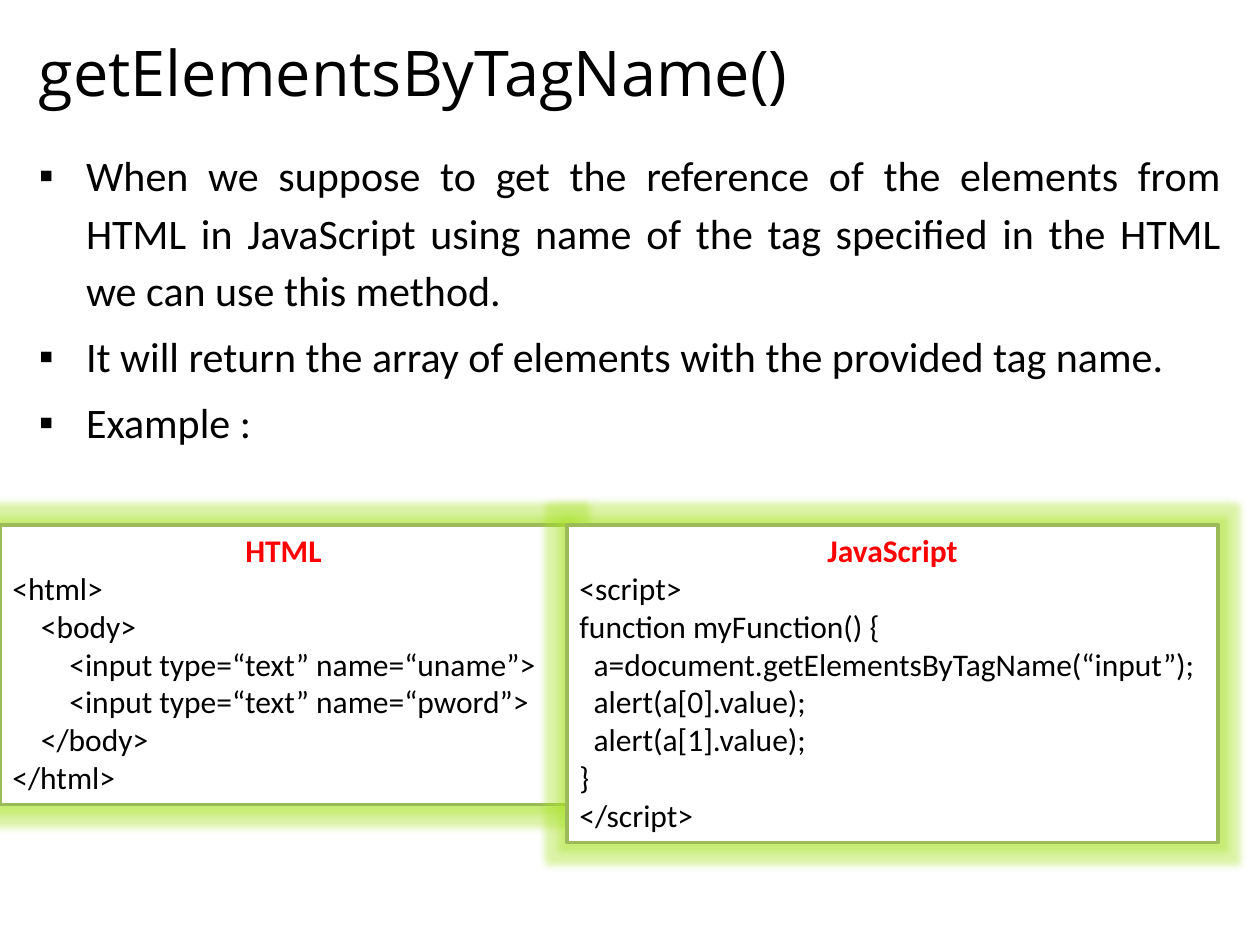
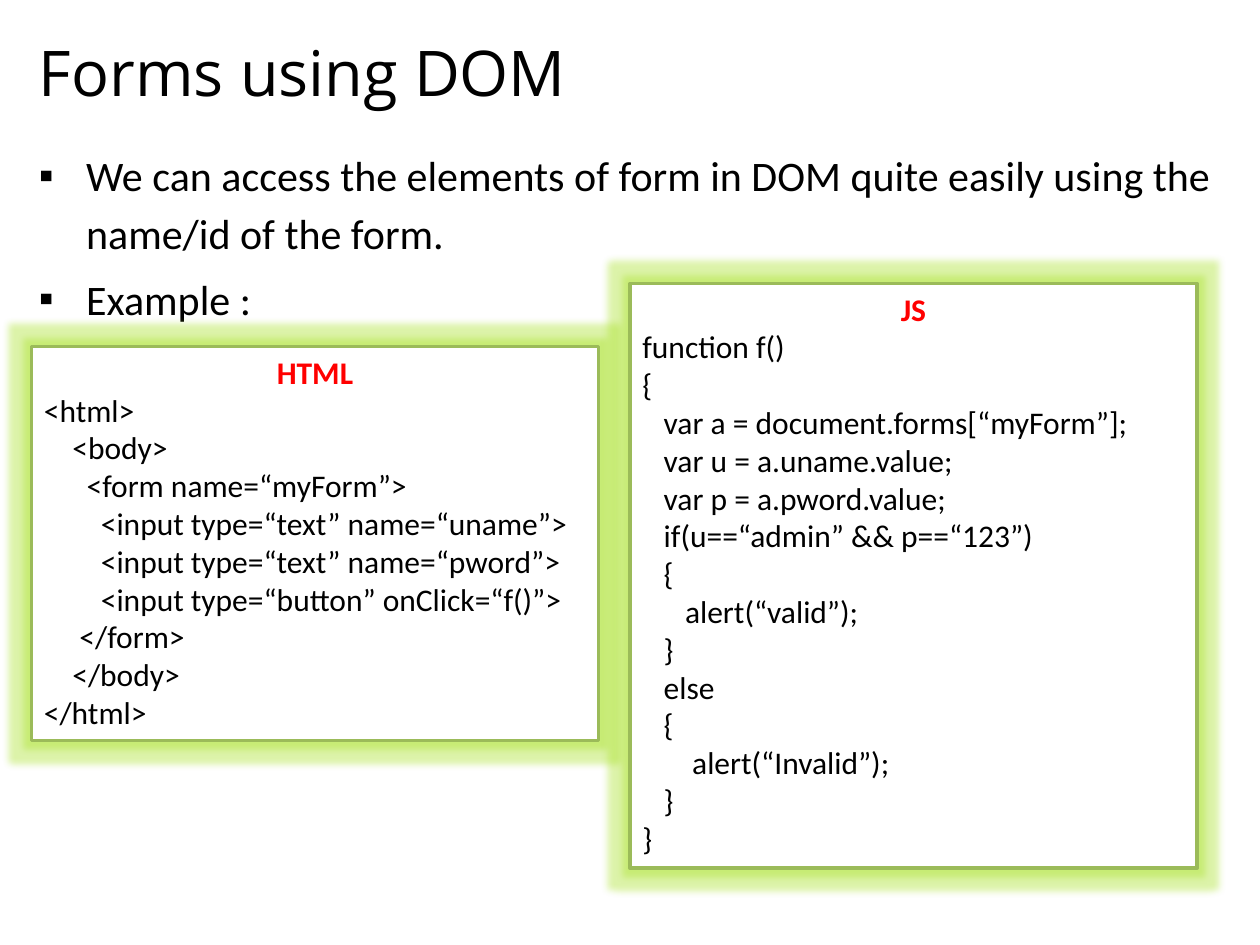
"""Build two slides on reading page elements and forms through the DOM."""
from lxml import etree
from pptx import Presentation
from pptx.dml.color import RGBColor
from pptx.enum.shapes import MSO_SHAPE
from pptx.enum.text import MSO_ANCHOR, MSO_AUTO_SIZE, PP_ALIGN
from pptx.oxml.ns import qn
from pptx.util import Pt

LEFT, CENTER, JUSTIFY = PP_ALIGN.LEFT, PP_ALIGN.CENTER, PP_ALIGN.JUSTIFY
TOP, MIDDLE = MSO_ANCHOR.TOP, MSO_ANCHOR.MIDDLE
FIXED_SIZE = MSO_AUTO_SIZE.NONE
RECTANGLE = MSO_SHAPE.RECTANGLE

BLACK = RGBColor(0x00, 0x00, 0x00)
WHITE = RGBColor(0xFF, 0xFF, 0xFF)
RED = RGBColor(0xFF, 0x00, 0x00)
GREEN = RGBColor(0x9B, 0xBB, 0x59)
GLOW_GREEN = RGBColor(0xA9, 0xE2, 0x28)
TITLE_FONT, TEXT_FONT = "Open Sans", "Calibri"

TITLE_AREA = (15, 9, 690, 63)
BODY_AREA = (15, 78, 690, 420)
BULLET_INDENT = 27
CODE_LINE, CODE_PADDING, CODE_SPACE = 21.8, 7.2, 4.07
GLOW_RADIUS = 8

# Each code line is (indent in spaces, text).
PAGES = [
    {
        "title": "getElementsByTagName()",
        "align": JUSTIFY,
        "bullets": [
            "When we suppose to get the reference of the elements from HTML in "
            "JavaScript using name of the tag specified in the HTML we can use "
            "this method.",
            "It will return the array of elements with the provided tag name.",
            "Example :",
        ],
        "listings": [
            ("HTML", (0, 300, 324), [
                (0, "<html>"),
                (4, "<body>"),
                (8, "<input type=“text” name=“uname”>"),
                (8, "<input type=“text” name=“pword”>"),
                (4, "</body>"),
                (0, "</html>"),
            ]),
            ("JavaScript", (324, 300, 372), [
                (0, "<script>"),
                (0, "function myFunction() {"),
                (2, "a=document.getElementsByTagName(“input”);"),
                (2, "alert(a[0].value);"),
                (2, "alert(a[1].value);"),
                (0, "}"),
                (0, "</script>"),
            ]),
        ],
    },
    {
        "title": "Forms using DOM",
        "align": LEFT,
        "bullets": [
            "We can access the elements of form in DOM quite easily using the "
            "name/id of the form.",
            "Example :",
        ],
        "listings": [
            ("HTML", (18, 198, 324), [
                (0, "<html>"),
                (4, "<body>"),
                (6, "<form name=“myForm”>"),
                (8, "<input type=“text” name=“uname”>"),
                (8, "<input type=“text” name=“pword”>"),
                (8, "<input type=“button” onClick=“f()”>"),
                (5, "</form>"),
                (4, "</body>"),
                (0, "</html>"),
            ]),
            ("JS", (360, 162, 324), [
                (0, "function f()"),
                (0, "{"),
                (3, "var a = document.forms[“myForm”];"),
                (3, "var u = a.uname.value;"),
                (3, "var p = a.pword.value;"),
                (3, "if(u==“admin” && p==“123”)"),
                (3, "{"),
                (6, "alert(“valid”);"),
                (3, "}"),
                (3, "else"),
                (3, "{"),
                (7, "alert(“Invalid”);"),
                (3, "}"),
                (0, "}"),
            ]),
        ],
    },
]


def place(box, area):
    box.left, box.top, box.width, box.height = map(Pt, area)


def style(para, font, size, color, align, bold=False):
    para.alignment = align
    for span in para.runs:
        span.font.name = font
        span.font.size = Pt(size)
        span.font.bold = bold
        span.font.color.rgb = color


def add_xml(parent, tag, **attributes):
    return etree.SubElement(parent, qn(tag), attributes)


def indent(para, margin, first=0):
    properties = para._p.get_or_add_pPr()
    properties.set("marL", str(Pt(margin)))
    properties.set("indent", str(Pt(first)))
    return properties


def fill_title(box, title):
    place(box, TITLE_AREA)
    frame = box.text_frame
    frame.text = title
    frame.vertical_anchor = MIDDLE
    frame.auto_size = FIXED_SIZE
    style(frame.paragraphs[0], TITLE_FONT, 36, BLACK, LEFT)


def fill_body(box, bullets, align):
    place(box, BODY_AREA)
    frame = box.text_frame
    frame.text = "\n".join(bullets)
    frame.auto_size = FIXED_SIZE
    for para in frame.paragraphs:
        style(para, TEXT_FONT, 24, BLACK, align)
        para.line_spacing = 1.14
        properties = indent(para, BULLET_INDENT, -BULLET_INDENT)
        color = add_xml(properties, "a:buClr")
        add_xml(color, "a:srgbClr", val=str(BLACK))
        add_xml(properties, "a:buFont", typeface="Arial")
        add_xml(properties, "a:buChar", char="▪")


def add_glow(box):
    effects = box._element.spPr.find(qn("a:effectLst"))
    glow = add_xml(effects, "a:glow", rad=str(Pt(GLOW_RADIUS)))
    color = add_xml(glow, "a:srgbClr", val=str(GLOW_GREEN))
    add_xml(color, "a:alpha", val="40000")


def add_listing(page, heading, position, code):
    left, top, width = position
    height = CODE_LINE * (len(code) + 1) + CODE_PADDING
    box = page.shapes.add_shape(RECTANGLE, *map(Pt, (left, top, width, height)))
    box.fill.solid()
    box.fill.fore_color.rgb = WHITE
    box.line.color.rgb = GREEN
    box.line.width = Pt(2)
    box.shadow.inherit = False
    add_glow(box)
    frame = box.text_frame
    frame.word_wrap = True
    frame.vertical_anchor = TOP
    frame.text = "\n".join([heading] + [text for _, text in code])
    title, *lines = frame.paragraphs
    style(title, TEXT_FONT, 18, RED, CENTER, bold=True)
    for para, (spaces, _) in zip(lines, code):
        style(para, TEXT_FONT, 18, BLACK, LEFT)
        indent(para, spaces * CODE_SPACE)


def main():
    deck = Presentation()
    deck.slide_width, deck.slide_height = Pt(720), Pt(540)
    for content in PAGES:
        page = deck.slides.add_slide(deck.slide_layouts[1])
        fill_title(page.shapes.title, content["title"])
        fill_body(page.placeholders[1], content["bullets"], content["align"])
        for listing in content["listings"]:
            add_listing(page, *listing)
    deck.save("out.pptx")


if __name__ == "__main__":
    main()
